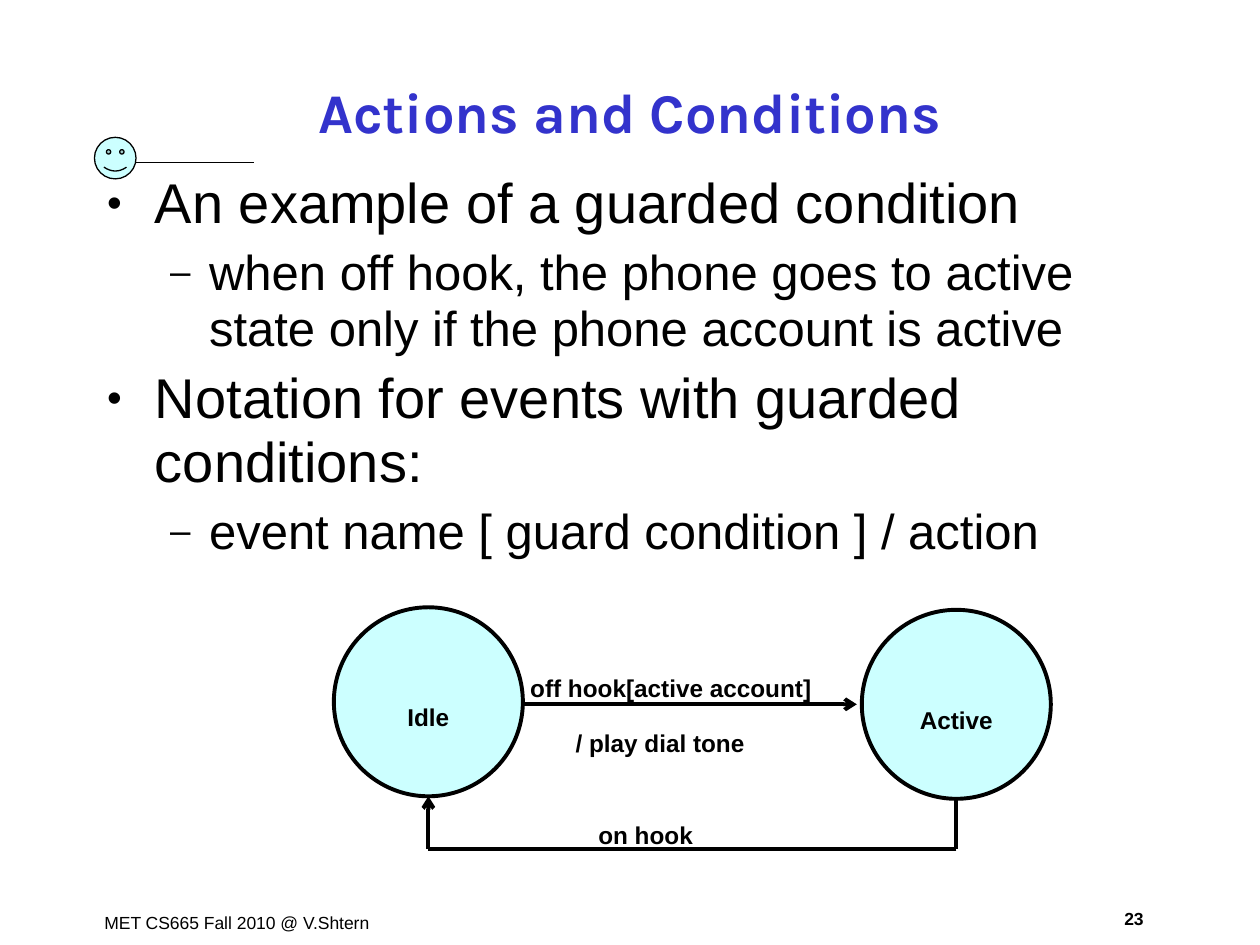
"""Build a slide on guarded conditions with a two-state phone diagram."""
from lxml import etree
from pptx import Presentation
from pptx.dml.color import RGBColor
from pptx.enum.shapes import MSO_CONNECTOR, MSO_SHAPE
from pptx.enum.text import MSO_ANCHOR, MSO_AUTO_SIZE, PP_ALIGN
from pptx.oxml.ns import qn
from pptx.util import Inches, Pt

STRAIGHT = MSO_CONNECTOR.STRAIGHT
OVAL, SMILEY = MSO_SHAPE.OVAL, MSO_SHAPE.SMILEY_FACE
LEFT, CENTER = PP_ALIGN.LEFT, PP_ALIGN.CENTER
MIDDLE, TOP = MSO_ANCHOR.MIDDLE, MSO_ANCHOR.TOP
NO_FIT = MSO_AUTO_SIZE.NONE
BLACK, BLUE, CYAN = "000000", "3333CC", "CCFFFF"


def color(value):
    """Turn a hex string into a colour."""
    return RGBColor.from_string(value)


def write(para, text, size, bold=False, align=LEFT, name="Arial", tint=BLACK):
    """Fill a paragraph and set its font."""
    para.text = text
    para.alignment = align
    font = para.font
    font.name, font.size, font.bold = name, Pt(size), bold
    font.color.rgb = color(tint)


deck = Presentation()
deck.slide_width, deck.slide_height = Inches(10), Inches(7.5)
page = deck.slides.add_slide(deck.slide_layouts[1])

title, body = page.placeholders
for holder, top, height, anchor in [(title, 0.48, 0.8, MIDDLE), (body, 1.32, 5.76, TOP)]:
    holder.left, holder.top = Inches(0.75), Inches(top)
    holder.width, holder.height = Inches(8.5), Inches(height)
    holder.text_frame.auto_size = NO_FIT
    holder.text_frame.vertical_anchor = anchor
write(title.text_frame.paragraphs[0], "Actions and Conditions", 32, True, CENTER, "Karla", BLUE)

levels = [(32, 6, 0.38, -0.38, "•"), (28, 5.2, 0.81, -0.31, "–")]
points = [
    (0, "An example of a guarded condition"),
    (1, "when off hook, the phone goes to active state only if the phone account is active"),
    (0, "Notation for events with guarded conditions:"),
    (1, "event name [ guard condition ] / action"),
]
for index, (level, text) in enumerate(points):
    size, space, margin, indent, mark = levels[level]
    para = body.text_frame.add_paragraph() if index else body.text_frame.paragraphs[0]
    para.level = level
    properties = para._p.get_or_add_pPr()
    properties.set("marL", str(Inches(margin)))
    properties.set("indent", str(Inches(indent)))
    bullet_color = etree.SubElement(properties, qn("a:buClr"))
    etree.SubElement(bullet_color, qn("a:srgbClr"), val=BLACK)
    etree.SubElement(properties, qn("a:buSzPct"), val="75000")
    etree.SubElement(properties, qn("a:buChar"), char=mark)
    para.line_spacing = 0.95
    para.space_before = Pt(space if index else 0)
    write(para, text, size)

figures = [
    (SMILEY, 0.75, 1.09, 0.33, 0.75, ""),
    (OVAL, 2.65, 4.82, 1.5, 2.25, "Idle"),
    (OVAL, 6.84, 4.84, 1.5, 2.25, "Active"),
]
state_paras = []
for kind, left, top, side, weight, text in figures:
    figure = page.shapes.add_shape(kind, Inches(left), Inches(top), Inches(side), Inches(side))
    figure.shadow.inherit = False
    figure.fill.solid()
    figure.fill.fore_color.rgb = color(CYAN)
    figure.line.color.rgb = color(BLACK)
    figure.line.width = Pt(weight)
    if text:
        frame = figure.text_frame
        frame.word_wrap = False
        frame.vertical_anchor = MIDDLE
        write(frame.paragraphs[0], text, 24, True, CENTER)
        state_paras.append(frame.paragraphs[0])

lines = [
    (1.08, 1.29, 2.02, 1.29, 1, False),
    (4.15, 5.59, 6.8, 5.59, 2.25, True),
    (7.59, 6.34, 7.59, 6.74, 2.25, False),
    (7.59, 6.74, 3.4, 6.74, 2.25, False),
    (3.4, 6.74, 3.4, 6.32, 2.25, True),
]
for x1, y1, x2, y2, weight, arrow in lines:
    line = page.shapes.add_connector(STRAIGHT, Inches(x1), Inches(y1), Inches(x2), Inches(y2))
    line.line.color.rgb = color(BLACK)
    line.line.width = Pt(weight)
    if arrow:
        etree.SubElement(line.line._get_or_add_ln(), qn("a:tailEnd"), type="arrow")
    etree.SubElement(line._element.spPr, qn("a:effectLst"))

labels = [
    ("off hook[active account]", 4.11, 5.09, 2.81, 0.49, 24, True, LEFT),
    ("/ play dial tone", 4.47, 5.53, 2.23, 0.49, 24, True, LEFT),
    ("on hook", 4.65, 6.26, 1.92, 0.49, 24, True, LEFT),
    ("MET CS665 Fall 2010 @ V.Shtern", 0.73, 7.19, 2.41, 0.27, 10, False, LEFT),
    ("23", 8.73, 7.16, 0.54, 0.27, 10, True, CENTER),
]
for text, left, top, width, height, size, bold, align in labels:
    box = page.shapes.add_textbox(Inches(left), Inches(top), Inches(width), Inches(height))
    box.text_frame.word_wrap = True
    para = box.text_frame.paragraphs[0]
    write(para, text, size, bold, align)
    if size == 24:
        state_paras.append(para)

for para in state_paras:
    para.line_spacing = 0.85
    for span in para.runs:
        span.font._element.set("baseline", "-25000")

deck.save("out.pptx")
